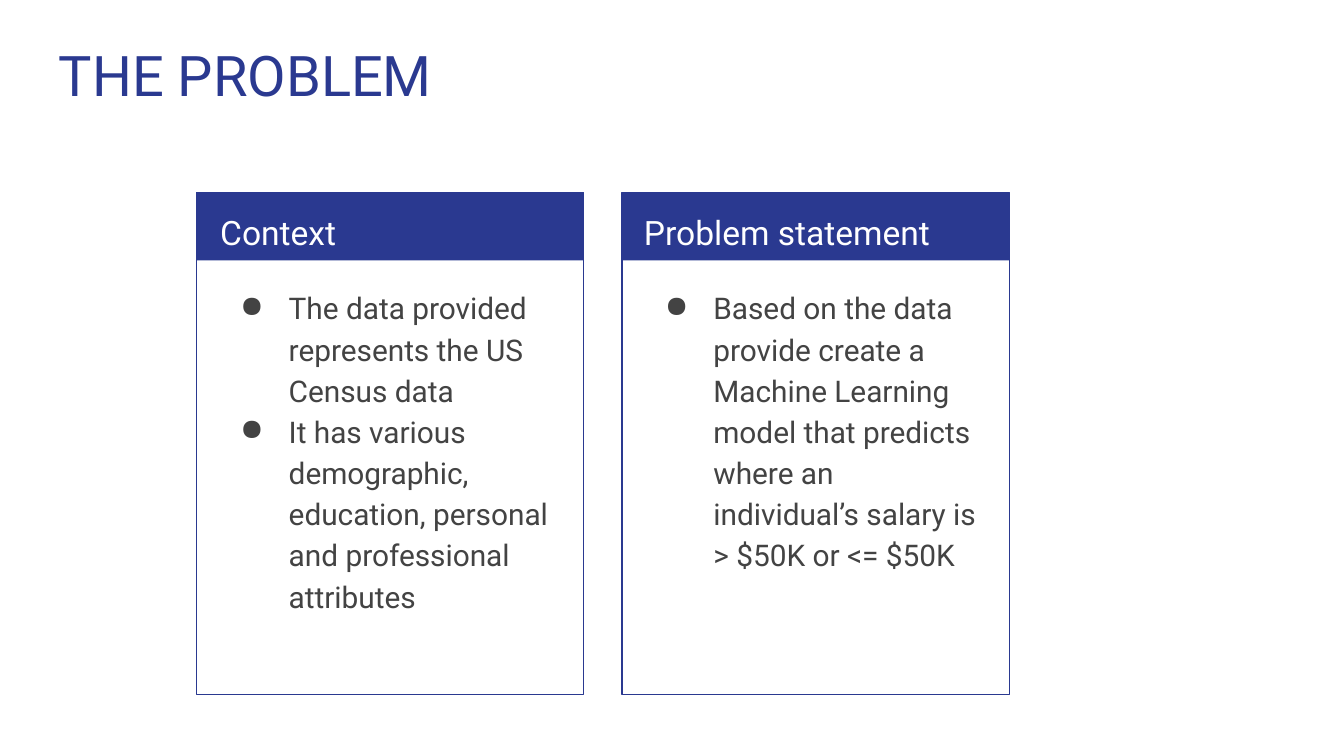
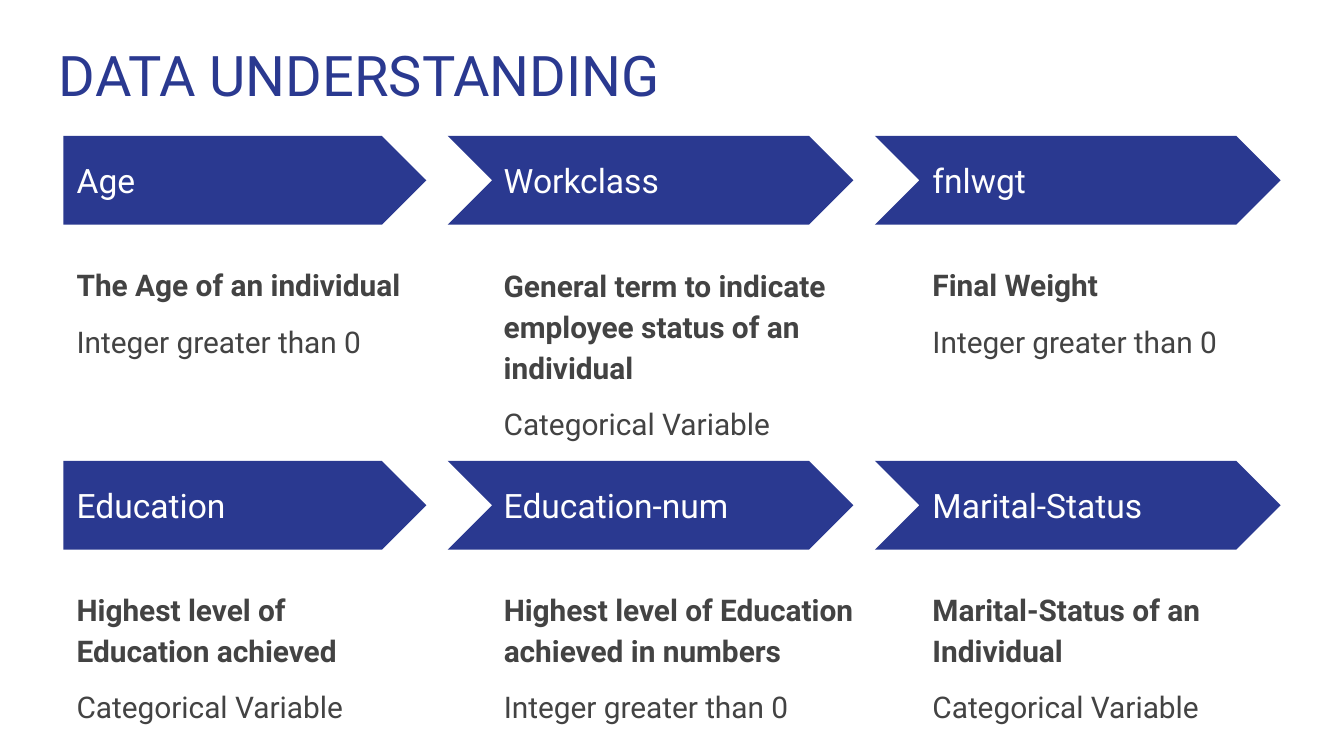
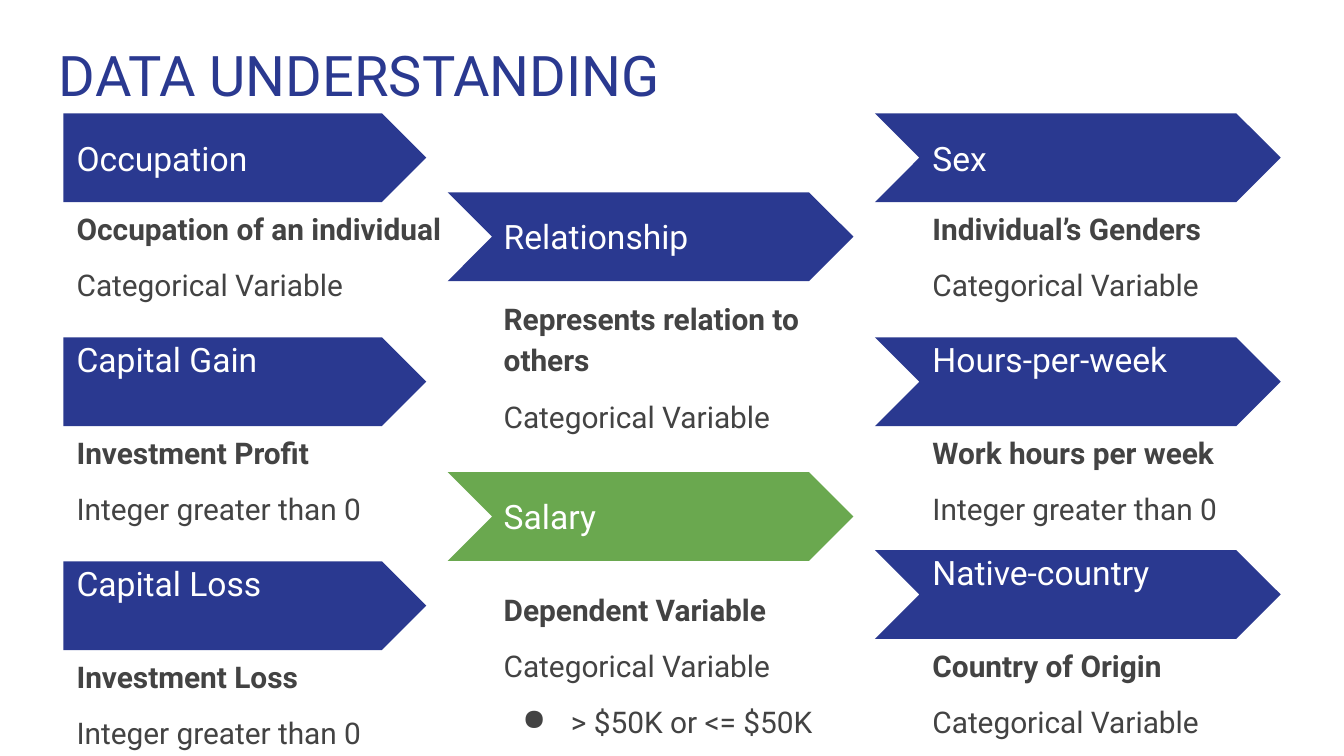
from lxml.etree import SubElement
from pptx import Presentation
from pptx.dml.color import RGBColor
from pptx.enum.shapes import MSO_SHAPE
from pptx.enum.text import MSO_ANCHOR
from pptx.oxml.ns import qn
from pptx.util import Pt

NAVY = RGBColor(0x2A, 0x39, 0x90)
GREEN = RGBColor(0x6A, 0xA8, 0x4F)
GREY = RGBColor(0x43, 0x43, 0x43)
WHITE = RGBColor(0xFF, 0xFF, 0xFF)

FONTS = {
    "title": ({"name": "Roboto", "size": Pt(30)}, NAVY),
    "heading": ({"name": "Roboto", "size": Pt(18)}, WHITE),
    "bold": ({"name": "Roboto", "size": Pt(16), "bold": True}, GREY),
    "plain": ({"name": "Roboto", "size": Pt(16)}, GREY),
    "bullet": ({"name": "Roboto", "size": Pt(16)}, GREY),
}
BODY_SPACING = {"line_spacing": 1.15, "space_before": Pt(0)}
INSET = Pt(7.2)
FRAME = {"word_wrap": True, "margin_left": INSET, "margin_right": INSET,
         "margin_top": INSET, "margin_bottom": INSET}

TITLE_BOX = (24.5, 14.4, 671, 47.5)
CARD_TOP, CARD_WIDTH, CARD_HEIGHT, BAND_HEIGHT = 103, 207.4, 269, 36.5
ARROW_HEIGHT, LABEL_WIDTH, LABEL_HEIGHT = 47.6, 177.8, 24.5
BODY_WIDTH, BODY_HEIGHT = 194.4, 64

# Arrow shape, arrow left, arrow width, text left
COLUMNS = [
    (MSO_SHAPE.PENTAGON, 34, 194.4, 34),
    (MSO_SHAPE.CHEVRON, 239.8, 217.4, 262.8),
    (MSO_SHAPE.CHEVRON, 468.7, 217.4, 492.5),
]


def add_text(slide, box, lines, anchor=MSO_ANCHOR.TOP, gap=0, spacing=None):
    """Add a text box; lines are (style, text) pairs, gap parts them in points."""
    text_frame = slide.shapes.add_textbox(*map(Pt, box)).text_frame
    for name, value in {**FRAME, "vertical_anchor": anchor}.items():
        setattr(text_frame, name, value)
    for index, (style, text) in enumerate(lines):
        paragraph = text_frame.add_paragraph() if index else text_frame.paragraphs[0]
        for name, value in (spacing or {}).items():
            setattr(paragraph, name, value)
        if index and gap:
            paragraph.space_before = Pt(gap)
        run = paragraph.add_run()
        run.text = text
        font_format, color = FONTS[style]
        for name, value in font_format.items():
            setattr(run.font, name, value)
        run.font.color.rgb = color
        if style == "bullet":
            properties = paragraph._p.get_or_add_pPr()
            properties.set("marL", str(Pt(36)))
            properties.set("indent", str(-Pt(26)))
            bullet_color = SubElement(properties, qn("a:buClr"))
            SubElement(bullet_color, qn("a:srgbClr"), val=str(color))
            SubElement(properties, qn("a:buChar"), char="●")


def add_block(slide, kind, box, fill=None, line=None):
    shape = slide.shapes.add_shape(kind, *map(Pt, box))
    shape.shadow.inherit = False
    if fill is None:
        shape.fill.background()
    else:
        shape.fill.solid()
        shape.fill.fore_color.rgb = fill
    if line is None:
        shape.line.fill.background()
    else:
        shape.line.color.rgb = line
        shape.line.width = Pt(0.75)


presentation = Presentation()
presentation.slide_width, presentation.slide_height = Pt(720), Pt(405)

slides = []
for title in ("THE PROBLEM", "DATA UNDERSTANDING", "DATA UNDERSTANDING"):
    slide = presentation.slides.add_slide(presentation.slide_layouts[6])
    add_text(slide, TITLE_BOX, [("title", title)])
    slides.append(slide)
problem_slide, *data_slides = slides

# Card left, heading left, body left, heading, bullets
cards = [
    (105.3, 110.9, 111.6, "Context", [
        "The data provided represents the US Census data",
        "It has various demographic, education, personal and professional attributes",
    ]),
    (333.3, 337.9, 339.1, "Problem statement", [
        "Based on the data provide create a Machine Learning model that predicts "
        "where an individual’s salary is > $50K or <= $50K",
    ]),
]
for left, heading_left, body_left, heading, bullets in cards:
    add_block(problem_slide, MSO_SHAPE.RECTANGLE,
              (left, CARD_TOP, CARD_WIDTH, BAND_HEIGHT), fill=NAVY)
    add_block(problem_slide, MSO_SHAPE.RECTANGLE,
              (left, CARD_TOP, CARD_WIDTH, CARD_HEIGHT), line=NAVY)
    add_text(problem_slide, (heading_left, CARD_TOP, 196.6, 36),
             [("heading", heading)], spacing=BODY_SPACING)
    add_text(problem_slide, (body_left, 145.4, 195.1, 220.3),
             [("bullet", text) for text in bullets], spacing=BODY_SPACING)

NUMBER = "Integer greater than 0"
CATEGORY = "Categorical Variable"

# Column, arrow top, label offset, body offset, name, meaning, values, extras
attributes = [
    [
        (0, 72.8, 11.5, 60.3, "Age", "The Age of an individual", NUMBER, {}),
        (1, 72.8, 11.5, 60.3, "Workclass",
         "General term to indicate employee status of an individual", CATEGORY,
         {"height": 106}),
        (2, 72.8, 11.5, 60.3, "fnlwgt", "Final Weight", NUMBER, {}),
        (0, 246.9, 11.5, 60, "Education", "Highest level of Education achieved",
         CATEGORY, {}),
        (1, 246.9, 11.5, 60, "Education-num",
         "Highest level of Education achieved in numbers", NUMBER,
         {"width": 229.7, "height": 106}),
        (2, 246.9, 11.5, 60, "Marital-Status", "Marital-Status of an Individual",
         CATEGORY, {}),
    ],
    [
        (0, 60.7, 11.5, 42.3, "Occupation", "Occupation of an individual", CATEGORY,
         {"width": 217.4}),
        (1, 103, 11.5, 48.2, "Relationship", "Represents relation to others",
         CATEGORY, {"width": 188, "height": 78}),
        (2, 60.7, 11.5, 42.3, "Sex", "Individual’s Genders", CATEGORY, {}),
        (0, 180.7, -0.5, 42.3, "Capital Gain", "Investment Profit", NUMBER, {}),
        (1, 252.9, 11.5, 54, "Salary", "Dependent Variable", CATEGORY,
         {"fill": GREEN, "bullet": "> $50K or <= $50K"}),
        (2, 180.7, -0.5, 42.3, "Hours-per-week", "Work hours per week", NUMBER, {}),
        (2, 294.7, -0.5, 42.3, "Native-country", "Country of Origin", CATEGORY, {}),
        (0, 300.7, -0.5, 42.3, "Capital Loss", "Investment Loss", NUMBER, {}),
    ],
]
for slide, entries in zip(data_slides, attributes):
    for column, top, label_offset, body_offset, name, meaning, values, extras in entries:
        kind, arrow_left, arrow_width, text_left = COLUMNS[column]
        add_block(slide, kind, (arrow_left, top, arrow_width, ARROW_HEIGHT),
                  fill=extras.get("fill", NAVY))
        add_text(slide, (text_left, top + label_offset, LABEL_WIDTH, LABEL_HEIGHT),
                 [("heading", name)], anchor=MSO_ANCHOR.MIDDLE)
        lines = [("bold", meaning), ("plain", values)]
        if "bullet" in extras:
            lines.append(("bullet", extras["bullet"]))
        add_text(slide, (text_left, top + body_offset, extras.get("width", BODY_WIDTH),
                         extras.get("height", BODY_HEIGHT)),
                 lines, gap=8, spacing=BODY_SPACING)

presentation.save("out.pptx")
